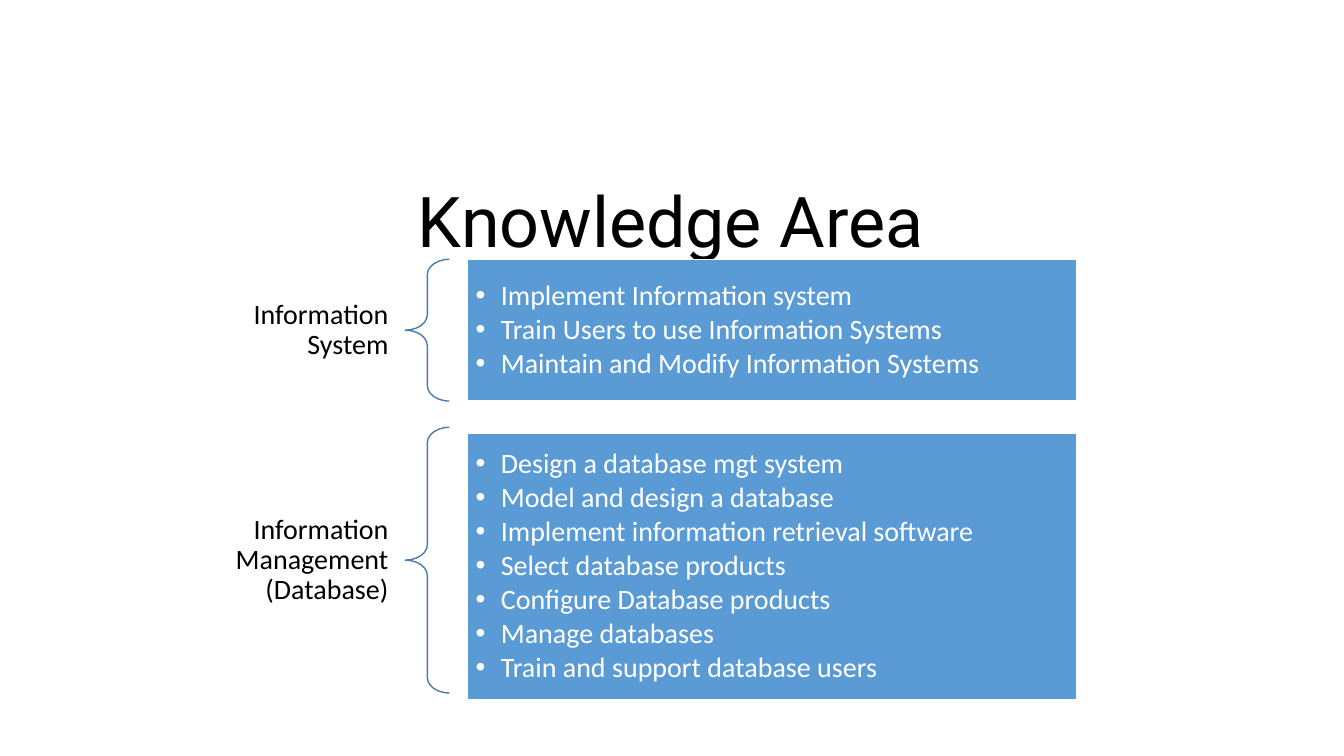
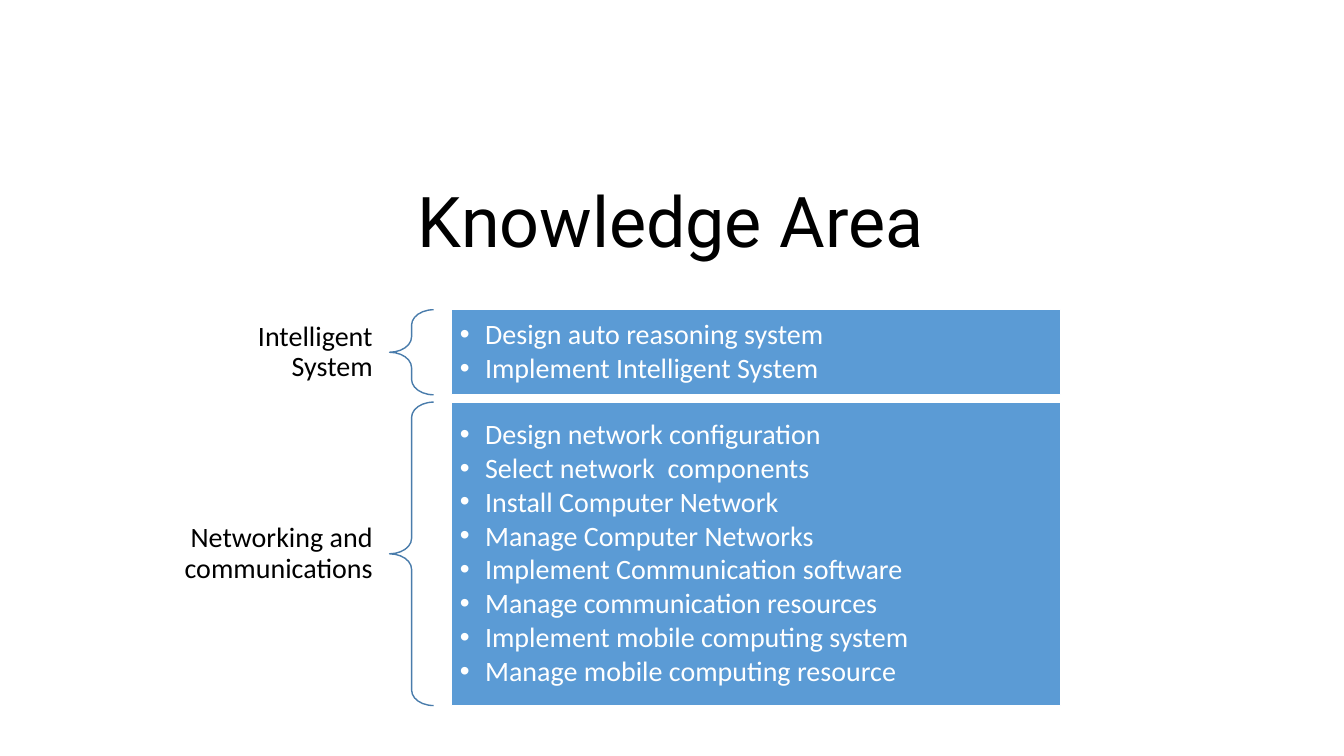
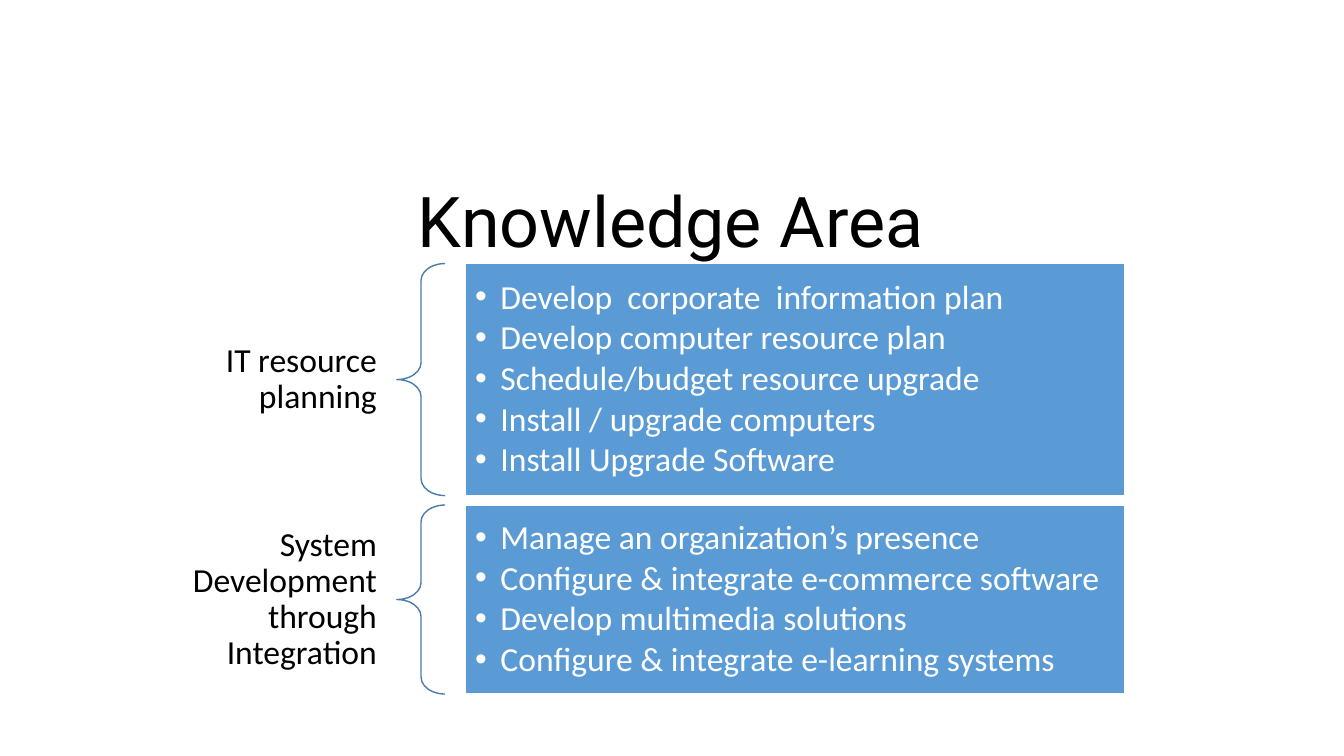
"""Build three Knowledge Area slides of braced, bulleted lists."""
from lxml.etree import SubElement
from pptx import Presentation
from pptx.dml.color import RGBColor
from pptx.enum.shapes import MSO_SHAPE
from pptx.enum.text import MSO_ANCHOR, MSO_AUTO_SIZE, PP_ALIGN
from pptx.oxml.ns import qn
from pptx.util import Pt

EMU_PER_PX = 9525
BLACK = RGBColor(0x00, 0x00, 0x00)
WHITE = RGBColor(0xFF, 0xFF, 0xFF)
BLUE = RGBColor(0x5B, 0x9B, 0xD5)
BRACE_BLUE = RGBColor(0x49, 0x7C, 0xAB)

SMALL = {"size": 20, "label_width": 213, "brace_width": 42, "gap": 17, "list_width": 580}
LARGE = {"size": 24, "label_width": 231, "brace_width": 46, "gap": 19, "list_width": 628}

PAGES = [
    {"left": 172, "columns": SMALL, "areas": [
        {"label": "Information System", "top": 247, "height": 135, "list_top": 247, "tasks": [
            "Implement Information system",
            "Train Users to use Information Systems",
            "Maintain and Modify Information Systems"]},
        {"label": "Information Management (Database)",
         "top": 407, "height": 253, "list_top": 413, "tasks": [
             "Design a database mgt system",
             "Model and design a database",
             "Implement information retrieval software",
             "Select database products",
             "Configure Database products",
             "Manage databases",
             "Train and support database users"]},
    ]},
    {"left": 157, "columns": SMALL, "areas": [
        {"label": "Intelligent System", "top": 295, "height": 81, "list_top": 295, "tasks": [
            "Design auto reasoning system",
            "Implement Intelligent System"]},
        {"label": "Networking and communications",
         "top": 383, "height": 289, "list_top": 383, "tasks": [
             "Design network configuration",
             "Select network  components",
             "Install Computer Network",
             "Manage Computer Networks",
             "Implement Communication software",
             "Manage communication resources",
             "Implement mobile computing system",
             "Manage mobile computing resource"]},
    ]},
    {"left": 146, "columns": LARGE, "areas": [
        {"label": "IT resource planning", "top": 251, "height": 221, "list_top": 251, "tasks": [
            "Develop  corporate  information plan",
            "Develop computer resource plan",
            "Schedule/budget resource upgrade",
            "Install / upgrade computers",
            "Install Upgrade Software"]},
        {"label": "System Development through Integration",
         "top": 481, "height": 180, "list_top": 481, "tasks": [
             "Manage an organization’s presence",
             "Configure & integrate e-commerce software",
             "Develop multimedia solutions",
             "Configure & integrate e-learning systems"]},
    ]},
]


def px(length):
    return round(length * EMU_PER_PX)


def write(frame, lines, *, size, font="Calibri", color=BLACK, align=PP_ALIGN.LEFT,
          inset=(10, 5), spacing=1.0, after=0, indent=0):
    frame.word_wrap = True
    frame.auto_size = MSO_AUTO_SIZE.NONE
    frame.vertical_anchor = MSO_ANCHOR.MIDDLE
    frame.margin_left = frame.margin_right = px(inset[0])
    frame.margin_top = frame.margin_bottom = px(inset[1])
    for index, line in enumerate(lines):
        para = frame.add_paragraph() if index else frame.paragraphs[0]
        para.alignment = align
        para.line_spacing = spacing
        para.space_before = Pt(0)
        para.space_after = Pt(after)
        span = para.add_run()
        span.text = line
        span.font.name = font
        span.font.size = Pt(size)
        span.font.color.rgb = color
        if indent:
            properties = para._p.get_or_add_pPr()
            properties.set("marL", str(px(indent)))
            properties.set("indent", str(-px(indent)))
            SubElement(properties, qn("a:buChar")).set("char", "•")


class KnowledgeDeck:
    def __init__(self):
        self.deck = Presentation()
        self.deck.slide_width = px(1280)
        self.deck.slide_height = px(720)
        self.page = None

    def add_page(self, title):
        layout = self.deck.slide_layouts.get_by_name("Two Content")
        self.page = self.deck.slides.add_slide(layout)
        box = self.page.shapes.title
        self.place(box, 113, 162, 1052, 95)
        write(box.text_frame, [title], size=50, font="Roboto", align=PP_ALIGN.CENTER)

    def place(self, box, left, top, width, height):
        box.left, box.top = px(left), px(top)
        box.width, box.height = px(width), px(height)

    def add_label(self, text, left, top, width, height, size):
        box = self.page.shapes.add_textbox(px(left), px(top), px(width), px(height))
        write(box.text_frame, [text], size=size, align=PP_ALIGN.RIGHT, spacing=0.9,
              inset=(0.75 * size, 0.3 * size))

    def add_brace(self, left, top, width, height):
        brace = self.page.shapes.add_shape(
            MSO_SHAPE.LEFT_BRACE, px(left), px(top), px(width), px(height))
        brace.adjustments[0] = 0.35
        brace.shadow.inherit = False
        brace.fill.background()
        brace.line.color.rgb = BRACE_BLUE
        brace.line.width = Pt(1)

    def fill_list(self, slot, tasks, left, top, width, height, size):
        box = self.page.placeholders[slot]
        self.place(box, left, top, width, height)
        box.fill.solid()
        box.fill.fore_color.rgb = BLUE
        box.line.color.rgb = WHITE
        box.line.width = Pt(1)
        write(box.text_frame, tasks, size=size, color=WHITE, spacing=0.9,
              after=0.13 * size, inset=(0.4 * size, 0.4 * size), indent=24)

    def add_area(self, slot, area, left, columns):
        top, height, size = area["top"], area["height"], columns["size"]
        brace_left = left + columns["label_width"] + 1
        list_left = brace_left + columns["brace_width"] + columns["gap"]
        self.add_label(area["label"], left, top, columns["label_width"], height, size)
        self.add_brace(brace_left, top, columns["brace_width"], height)
        self.fill_list(slot, area["tasks"], list_left, area["list_top"],
                       columns["list_width"], height, size)


def main():
    builder = KnowledgeDeck()
    for content in PAGES:
        builder.add_page("Knowledge Area")
        for slot, area in enumerate(content["areas"], start=1):
            builder.add_area(slot, area, content["left"], content["columns"])
    builder.deck.save("out.pptx")


if __name__ == "__main__":
    main()
